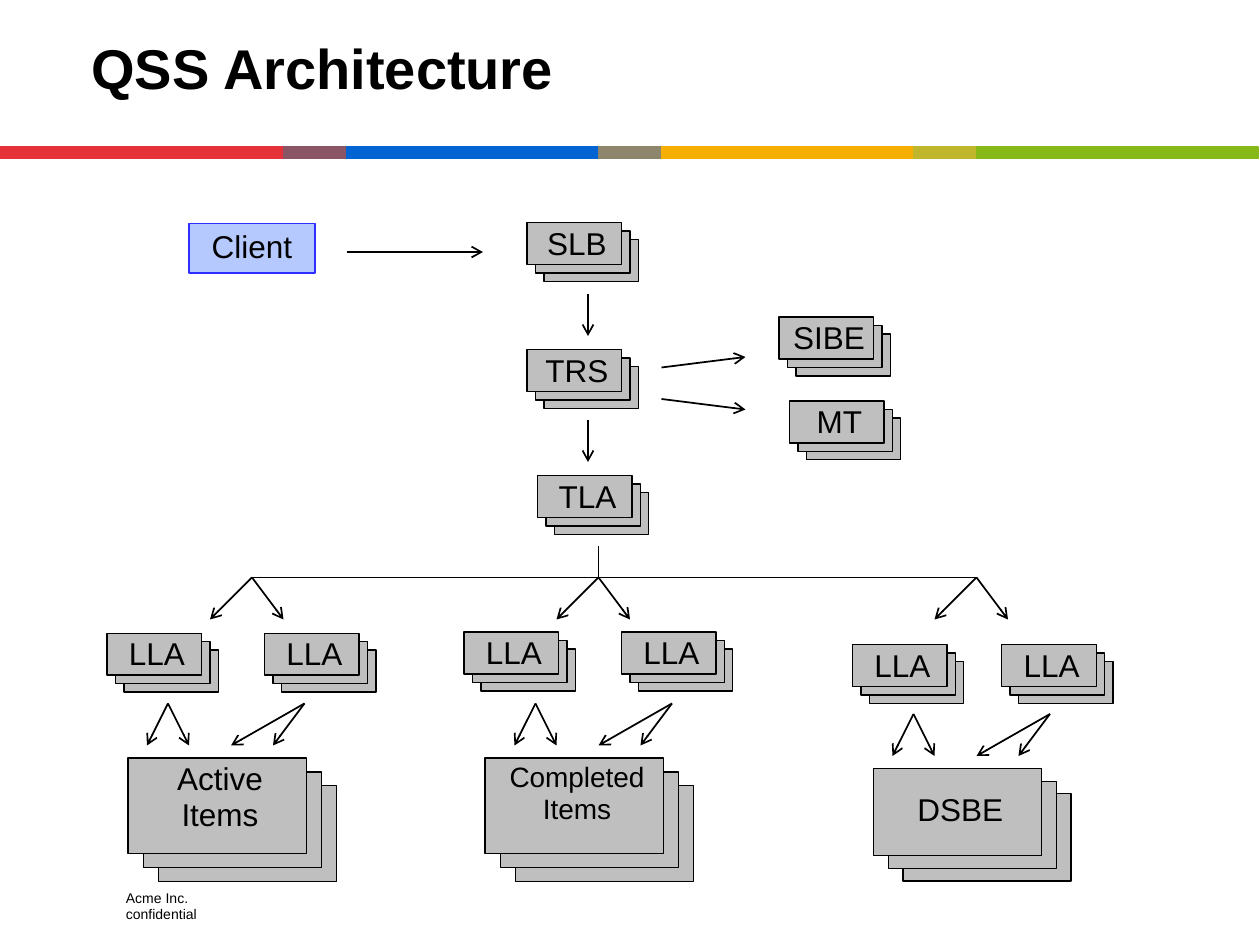
from itertools import pairwise

from pptx import Presentation
from pptx.dml.color import RGBColor
from pptx.enum.shapes import MSO_CONNECTOR as CONNECTOR, MSO_SHAPE as SHAPE
from pptx.enum.text import MSO_ANCHOR as ANCHOR, PP_ALIGN as ALIGN
from pptx.oxml.ns import qn
from pptx.util import Inches, Pt
from lxml.etree import SubElement

COLORS = {
    "ink": "000000",
    "server": "BFBFBF",
    "client": "B6C9FF",
    "client_edge": "2E2EFF",
    "red": "E53238",
    "plum": "8A5666",
    "blue": "0064D2",
    "taupe": "8D866D",
    "amber": "F5AF02",
    "olive": "BFB62B",
    "green": "86B817",
}
BAR = ("red", "plum", "blue", "taupe", "amber", "olive", "green")
BAR_EDGES = (0, 27, 33, 57, 63, 87, 93, 119.8)


def cells(*values):
    return [Inches(value / 12) for value in values]


def color(name):
    return RGBColor.from_string(COLORS[name])


class Diagram:
    font = "Arial"
    copies = 3

    def __init__(self, deck):
        self.page = deck.slides.add_slide(deck.slide_layouts[5])

    def set_text(self, box, text, size=18, align=ALIGN.CENTER, spacing=0.95, bold=False):
        frame = box.text_frame
        frame.word_wrap = True
        frame.text = text
        for para in frame.paragraphs:
            para.alignment = align
            para.line_spacing = spacing
            for span in para.runs:
                span.font.name = self.font
                span.font.size = Pt(size)
                span.font.bold = bold
                span.font.color.rgb = color("ink")

    def title(self, text, *place):
        box = self.page.shapes.title
        box.left, box.top, box.width, box.height = cells(*place)
        box.text_frame.vertical_anchor = ANCHOR.MIDDLE
        self.set_text(box, text, 32, ALIGN.LEFT, 1.07, True)

    def label(self, text, *place, shapes=None, **style):
        box = (shapes or self.page.shapes).add_textbox(*cells(*place))
        self.set_text(box, text, **style)

    def block(self, fill, edge, *place, shapes=None):
        box = (shapes or self.page.shapes).add_shape(SHAPE.RECTANGLE, *cells(*place))
        box.shadow.inherit = False
        box.fill.solid()
        box.fill.fore_color.rgb = color(fill)
        box.line.color.rgb = color(edge)
        box.line.width = Pt(0.75)
        box.text_frame.vertical_anchor = ANCHOR.TOP
        return box

    def stack(self, text, column, row, width=9, height=4, step=(0.8, 0.8), drop=0, size=18):
        shapes = self.page.shapes.add_group_shape().shapes
        for layer in reversed(range(self.copies)):
            left = column + 0.2 + layer * step[0]
            top = row + 0.2 + layer * step[1]
            self.block("server", "ink", left, top, width, height, shapes=shapes)
        self.label(text, column, row + drop, width + 0.9, 4.7, shapes=shapes, size=size)

    def line(self, start, end, arrow=True):
        link = self.page.shapes.add_connector(CONNECTOR.STRAIGHT, *cells(*start, *end))
        link.line.color.rgb = color("ink")
        link.line.width = Pt(1)
        properties = link._element.spPr
        if arrow:
            SubElement(properties.find(qn("a:ln")), qn("a:tailEnd"), type="arrow")
        SubElement(properties, qn("a:effectLst"))

    def fork(self, column, row, *targets, depth=4):
        for target in targets:
            self.line((column, row), (target, row + depth))

    def cluster(self, hub, leaves, row, foot, foot_row):
        self.fork(hub, 55, hub - 4, hub + 3)
        for column in leaves:
            self.stack("LLA", column, row)
        self.fork(foot, foot_row, foot - 2, foot + 2)
        self.fork(foot + 13, foot_row, foot + 6, foot + 10)


def main():
    deck = Presentation()
    deck.slide_width, deck.slide_height = Inches(10), Inches(7.5)
    diagram = Diagram(deck)

    diagram.title("QSS Architecture", 7.5, 1.4, 106.5, 9.5)
    for name, (left, right) in zip(BAR, pairwise(BAR_EDGES)):
        diagram.block(name, name, left, 14, right - left, 1.1)
    diagram.label("Acme Inc. confidential", 10.8, 84.1, 14.3, 2.8, size=8,
                  align=ALIGN.LEFT, spacing=1)

    client = diagram.block("client", "client_edge", 18, 21.3, 12, 4.7)
    diagram.set_text(client, "Client")
    for text, column, row in (("SLB", 50, 21), ("TRS", 50, 33.1), ("TLA", 51, 45.1),
                              ("SIBE", 74, 30), ("MT", 75, 38)):
        diagram.stack(text, column, row)

    for start, end in (((33, 24), (46, 24)), ((56, 28), (56, 32)), ((56, 40), (56, 44)),
                       ((63, 35), (71, 34)), ((63, 38), (71, 39))):
        diagram.line(start, end)
    diagram.line((57, 52), (57, 55), arrow=False)
    diagram.line((24, 55), (93, 55), arrow=False)

    diagram.cluster(24, (10, 25), 60.1, 16, 67)
    diagram.cluster(57, (44, 59), 60, 51, 67)
    diagram.cluster(93, (81, 95.2), 61.2, 87, 68)

    diagram.stack("Active Items", 12, 72, 17, 9.1, (1.44, 1.32))
    diagram.stack("Completed Items", 46, 72, 17, 9.1, (1.44, 1.32), size=16)
    diagram.stack("DSBE", 83, 73, 16, 8.3, (1.4, 1.2), drop=1.9)

    deck.save("out.pptx")


if __name__ == "__main__":
    main()
